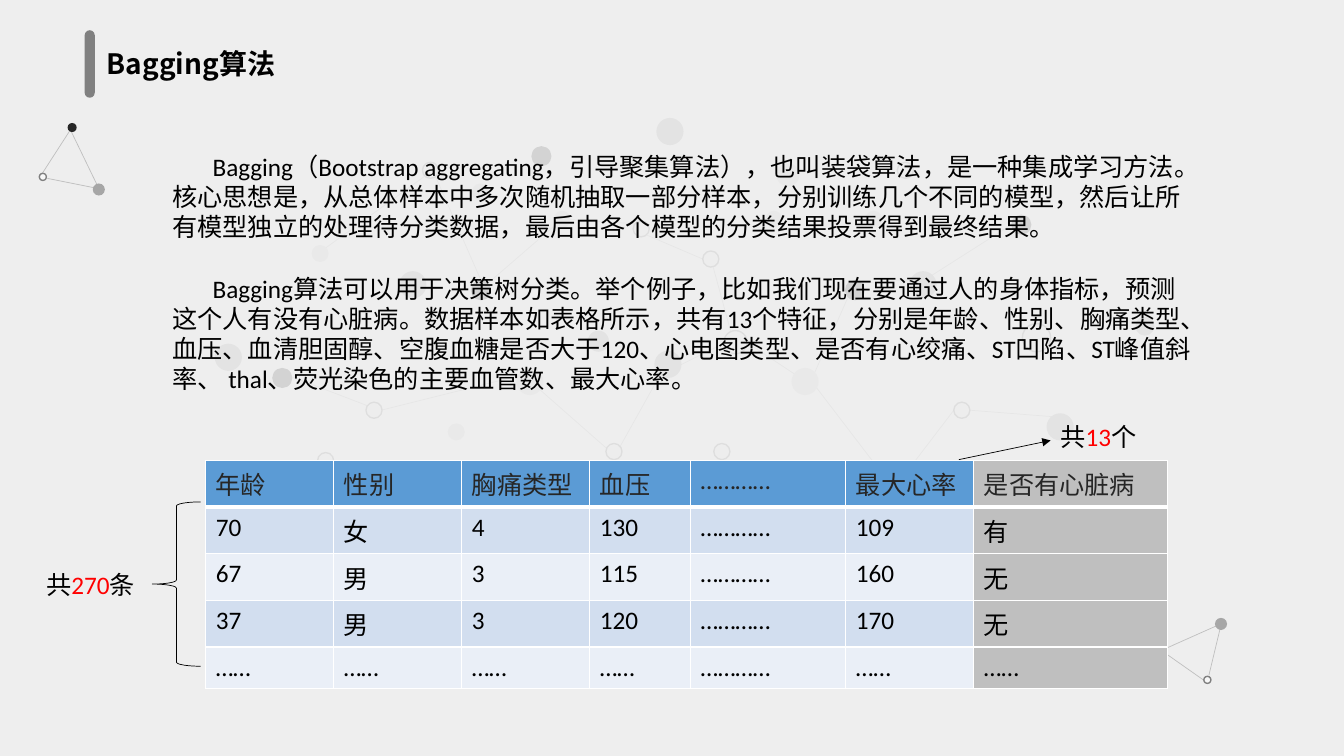
import pptx
import pptx.dml.color
import pptx.enum.shapes
import pptx.enum.text
import pptx.oxml
import pptx.oxml.ns
import pptx.util
import lxml.etree

PX = 9144  # 100 px to the inch
SHAPE = pptx.enum.shapes.MSO_SHAPE
BLACK, RED, WHITE = "000000", "FF0000", "FFFFFF"
DARK, GREY, PALE, HOLLOW = "262626", "A6A6A6", "D9D9D9", "F7F7F7"

# Node fill -> (left, top, diameter); hollow nodes also get an outline
NETWORK_NODES = {
    DARK: [(1003, 213, 20), (838, 278, 20), (527, 145, 20), (467, 278, 20), (270, 365, 20)],
    GREY: [(902, 269, 27), (1126, 314, 19), (1038, 410, 27), (213, 341, 27),
           (396, 269, 27), (583, 328, 21), (651, 117, 27), (649, 348, 27)],
    PALE: [(858, 209, 17), (759, 209, 17), (785, 365, 27), (309, 243, 17), (468, 182, 17),
           (549, 209, 17), (512, 365, 27), (444, 420, 17), (770, 162, 23)],
    HOLLOW: [(946, 399, 16), (890, 161, 16), (697, 249, 16), (708, 440, 16), (1014, 321, 28),
             (363, 399, 16), (419, 161, 16), (628, 219, 16), (601, 440, 16), (315, 449, 16),
             (718, 328, 23)],
}
NETWORK_LINKS = [
    (841, 295, 807, 372), (917, 277, 849, 281), (912, 281, 1003, 223), (715, 342, 667, 366),
    (378, 407, 518, 372), (290, 374, 371, 405), (603, 446, 520, 373), (615, 443, 658, 366),
    (706, 260, 727, 337), (735, 336, 800, 379), (962, 407, 1052, 414), (888, 483, 946, 407),
    (885, 483, 804, 377), (552, 217, 630, 222), (551, 223, 484, 281), (641, 233, 697, 257),
    (323, 246, 421, 175), (477, 278, 432, 175),
]
CORNER_LINKS = [
    (97, 187, 47, 177), (99, 189, 68, 125), (71, 127, 40, 175),
    (1211, 620, 1199, 670), (1213, 618, 1148, 647), (1150, 644, 1197, 677),
]
CORNER_NODES = {
    DARK: [(67, 122, 9)],
    GREY: [(92, 182, 12), (1205, 613, 12)],
    HOLLOW: [(39, 172, 7), (1194, 671, 7)],
}

deck = pptx.Presentation()
deck.slide_width, deck.slide_height = 1333 * PX, 750 * PX
page = deck.slides.add_slide(deck.slide_layouts[6])


def rgb(code):
    return pptx.dml.color.RGBColor.from_string(code)


def add_child(parent, tag, **attributes):
    """Append a DrawingML element to parent and return it."""
    return lxml.etree.SubElement(parent, pptx.oxml.ns.qn(tag), **attributes)


# Background network, the veil over it, then the two corner triangles
for layer, (links, nodes) in enumerate([(NETWORK_LINKS, NETWORK_NODES),
                                        (CORNER_LINKS, CORNER_NODES)]):
    if layer == 1:
        veil = page.shapes.add_shape(SHAPE.RECTANGLE, 0, 0, deck.slide_width, deck.slide_height)
        veil.shadow.inherit = False
        veil.line.fill.background()
        veil.fill.solid()
        veil.fill.fore_color.rgb = rgb("ECECEC")
        veil_color = veil.fill._xPr.find(".//" + pptx.oxml.ns.qn("a:srgbClr"))
        add_child(veil_color, "a:alpha", val="88000")
    for ends in links:
        link = page.shapes.add_connector(pptx.enum.shapes.MSO_CONNECTOR.STRAIGHT,
                                         *[value * PX for value in ends])
        link.line.color.rgb = rgb("BFBFBF")
        link.line.width = pptx.util.Pt(0.5)
        add_child(link._element.spPr, "a:effectLst")
    for color, places in nodes.items():
        for left, top, size in places:
            node = page.shapes.add_shape(SHAPE.OVAL, left * PX, top * PX, size * PX, size * PX)
            node.shadow.inherit = False
            node.fill.solid()
            node.fill.fore_color.rgb = rgb(color)
            if color == HOLLOW:
                node.line.color.rgb = rgb("808080")
                node.line.width = pptx.util.Pt(1)
            else:
                node.line.fill.background()

title_bar = page.shapes.add_shape(SHAPE.ROUNDED_RECTANGLE, 84 * PX, 30 * PX, 10 * PX, 67 * PX)
title_bar.adjustments[0] = 0.5
title_bar.shadow.inherit = False
title_bar.fill.solid()
title_bar.fill.fore_color.rgb = rgb("808080")
title_bar.line.fill.background()

# Sample table
COLUMN_WIDTHS = [127, 127, 127, 100, 154, 127, 192]
ROW_HEIGHT = 41
SAMPLES = [
    ["年龄", "性别", "胸痛类型", "血压", "…………", "最大心率", "是否有心脏病"],
    ["70", "女", "4", "130", "…………", "109", "有"],
    ["67", "男", "3", "115", "…………", "160", "无"],
    ["37", "男", "3", "120", "…………", "170", "无"],
    ["……", "……", "……", "……", "…………", "……", "……"],
]
table = page.shapes.add_table(len(SAMPLES), len(COLUMN_WIDTHS), 204 * PX, 457 * PX,
                              sum(COLUMN_WIDTHS) * PX, len(SAMPLES) * ROW_HEIGHT * PX).table
table.first_row = table.horz_banding = False
for column, width in zip(table.columns, COLUMN_WIDTHS):
    column.width = width * PX
for row_index, values in enumerate(SAMPLES):
    table.rows[row_index].height = ROW_HEIGHT * PX
    row_fill = "5B9BD5" if row_index == 0 else ["EAEFF7", "D2DEEF"][row_index % 2]
    for column_index, value in enumerate(values):
        cell = table.cell(row_index, column_index)
        cell_properties = cell._tc.get_or_add_tcPr()
        for side in "LRTB":
            points = 3 if row_index == 0 and side == "B" else 1
            border = add_child(cell_properties, "a:ln" + side, w=str(pptx.util.Pt(points)))
            add_child(add_child(border, "a:solidFill"), "a:srgbClr", val=WHITE)
        cell.fill.solid()
        cell.fill.fore_color.rgb = rgb("BFBFBF" if column_index == 6 else row_fill)
        span = cell.text_frame.paragraphs[0].add_run()
        span.text = value
        span.font.name = "Calibri"
        span.font.size = pptx.util.Pt(18)
        span.font.color.rgb = rgb(DARK if row_index == 0 else BLACK)

# Marks around the table
brace = page.shapes.add_shape(SHAPE.LEFT_BRACE, 151 * PX, 498 * PX, 48 * PX, 163 * PX)
brace.shadow.inherit = False
brace.fill.background()
arrow = page.shapes.add_connector(pptx.enum.shapes.MSO_CONNECTOR.STRAIGHT,
                                  951 * PX, 456 * PX, 1042 * PX, 437 * PX)
for mark in (brace, arrow):
    mark.line.color.rgb = rgb(BLACK)
    mark.line.width = pptx.util.Pt(0.5)
add_child(arrow.line._get_or_add_ln(), "a:tailEnd", type="triangle")
add_child(arrow._element.spPr, "a:effectLst")

# Text boxes: (left, top, width, height), first-line indent, runs
INTRO = ("Bagging（Bootstrap aggregating，引导聚集算法），也叫装袋算法，是一种集成学习方法。"
         "核心思想是，从总体样本中多次随机抽取一部分样本，分别训练几个不同的模型，然后让所有模型"
         "独立的处理待分类数据，最后由各个模型的分类结果投票得到最终结果。")
EXAMPLE = ("Bagging算法可以用于决策树分类。举个例子，比如我们现在要通过人的身体指标，预测这个人"
           "有没有心脏病。数据样本如表格所示，共有13个特征，分别是年龄、性别、胸痛类型、血压、"
           "血清胆固醇、空腹血糖是否大于120、心电图类型、是否有心绞痛、ST凹陷、ST峰值斜率、"
           " thal、荧光染色的主要血管数、最大心率。")
TITLE = "Bagging算法"
TEXTS = [
    ((96, 41, 360, 44), 0, [(TITLE, BLACK)]),
    ((161, 145, 1032, 101), 40, [(INTRO, BLACK)]),
    ((161, 266, 1032, 131), 40, [(EXAMPLE, BLACK)]),
    ((36, 560, 126, 40), 0, [("共", BLACK), ("270", RED), ("条", BLACK)]),
    ((1042, 413, 126, 40), 0, [("共", BLACK), ("13", RED), ("个", BLACK)]),
]
for frame, indent, runs in TEXTS:
    box = page.shapes.add_textbox(*[value * PX for value in frame])
    box.text_frame.word_wrap = True
    box.text_frame.auto_size = pptx.enum.text.MSO_AUTO_SIZE.SHAPE_TO_FIT_TEXT
    para = box.text_frame.paragraphs[0]
    if indent:
        para._p.get_or_add_pPr().set("indent", str(indent * PX))
    for words, color in runs:
        is_title = words == TITLE
        span = para.add_run()
        span.text = words
        span.font.name = "Noto Sans CJK SC" if is_title else "Calibri"
        span.font.size = pptx.util.Pt(20 if is_title else 18)
        span.font.bold = is_title
        span.font.color.rgb = rgb(color)
        if is_title:
            add_child(span.font._element, "a:ea", typeface="Noto Sans CJK SC")

deck.save("out.pptx")
